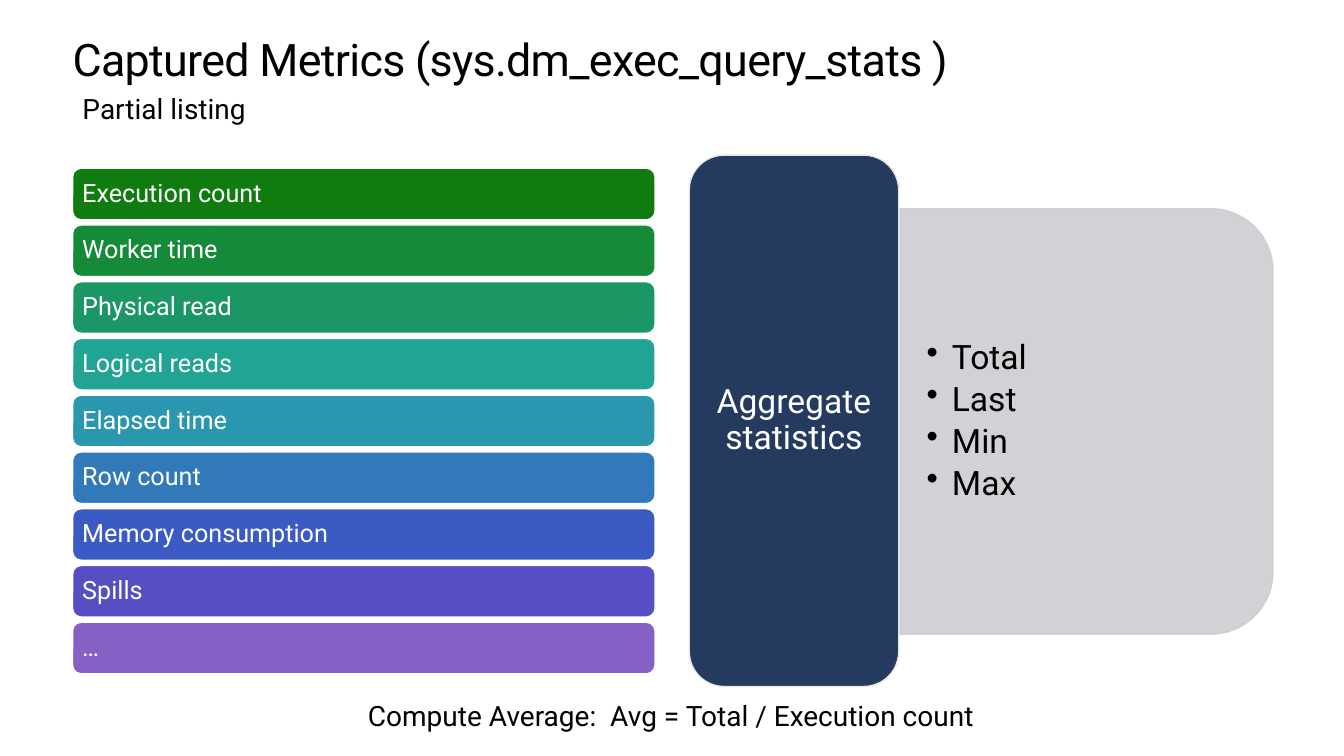
from lxml import etree
from pptx import Presentation
from pptx.dml.color import RGBColor
from pptx.enum.shapes import MSO_SHAPE
from pptx.enum.text import MSO_ANCHOR, PP_ALIGN
from pptx.oxml.ns import qn
from pptx.util import Cm, Pt

ROUND = MSO_SHAPE.ROUNDED_RECTANGLE
TAB = MSO_SHAPE.ROUND_2_SAME_RECTANGLE
TOP, MIDDLE = MSO_ANCHOR.TOP, MSO_ANCHOR.MIDDLE
LEFT, CENTER = PP_ALIGN.LEFT, PP_ALIGN.CENTER

BARS = [
    ("Execution count", "107C10"),
    ("Worker time", "158A38"),
    ("Physical read", "1B9765"),
    ("Logical reads", "22A495"),
    ("Elapsed time", "2A97AF"),
    ("Row count", "3279BA"),
    ("Memory consumption", "3B5AC4"),
    ("Spills", "574EC4"),
    ("…", "8661C5"),
]
STATS = ["Total", "Last", "Min", "Max"]
EDGE, WIDE = 1.83, 30.23
FIRST, STEP = 4.24, 1.43


def color(code):
    return RGBColor.from_string(code)


class Deck:
    font = "Roboto"
    dark = "000000"
    light = "FFFFFF"

    def __init__(self):
        self.file = Presentation()
        self.file.slide_width = Cm(33.87)
        self.file.slide_height = Cm(19.05)
        self.slide = self.file.slides.add_slide(self.file.slide_layouts[6])

    def fill_text(self, shape, text, size, ink, align=LEFT, anchor=TOP,
                  pad=(0, 0), line=None):
        frame = shape.text_frame
        frame.text = text
        frame.word_wrap = True
        frame.vertical_anchor = anchor
        frame.margin_left = frame.margin_right = Cm(pad[0])
        frame.margin_top = frame.margin_bottom = Cm(pad[1])
        for para in frame.paragraphs:
            para.alignment = align
            para.line_spacing = line
            for run in para.runs:
                run.font.name = self.font
                run.font.size = Pt(size)
                run.font.color.rgb = color(ink)

    def label(self, box, text, size, **style):
        shape = self.slide.shapes.add_textbox(*map(Cm, box))
        self.fill_text(shape, text, size, self.dark, **style)
        return shape

    def title(self, box, text):
        shape = self.label(box, text, 32, line=Pt(36.2))
        run = shape.text_frame.paragraphs[0].runs[0]
        run._r.get_or_add_rPr().set("spc", "-50")

    def block(self, kind, box, fill, edge):
        shape = self.slide.shapes.add_shape(kind, *map(Cm, box))
        shape.shadow.inherit = False
        shape.fill.solid()
        shape.fill.fore_color.rgb = color(fill)
        shape.line.color.rgb = color(edge)
        shape.line.width = Pt(1)
        return shape

    def card(self, box, text, size, fill, edge, align, pad):
        shape = self.block(ROUND, box, fill, edge)
        self.fill_text(shape, text, size, self.light, align, MIDDLE, pad, 0.9)

    def panel(self, box, fill):
        shape = self.block(TAB, box, fill, fill)
        shape.rotation = 90
        for tone in shape._element.spPr.iter(qn("a:srgbClr")):
            etree.SubElement(tone, qn("a:alpha")).set("val", "90000")

    def bullets(self, box, items, size):
        shape = self.label(box, "\n".join(items), size, anchor=MIDDLE,
                           pad=(0.69, 0.36), line=0.9)
        for para in shape.text_frame.paragraphs:
            para.space_after = Pt(4.2)
            props = para._p.get_or_add_pPr()
            props.set("marL", str(Cm(0.64)))
            props.set("indent", str(-Cm(0.64)))
            etree.SubElement(props, qn("a:buChar")).set("char", "•")


def main():
    deck = Deck()
    deck.title((EDGE, 0.89, WIDE, 1.27),
               "Captured Metrics (sys.dm_exec_query_stats )")
    deck.label((EDGE, 2.18, WIDE, 1.27), "Partial listing", 20,
               pad=(0.25, 0.13))
    for row, (name, fill) in enumerate(BARS):
        deck.card((EDGE, FIRST + row * STEP, 14.68, 1.3), name, 18, fill,
                  "FFFFFF", LEFT, (0.18, 0.18))
    deck.panel((22.02, 5.92, 10.72, 9.4), "CDCED2")
    deck.bullets((22.66, 5.72, 8.94, 9.8), STATS, 24)
    deck.card((17.37, 3.91, 5.28, 13.39), "Aggregate statistics", 24,
              "243A5E", "E6E6E6", CENTER, (0.25, 0.13))
    deck.label((9.19, 17.6, 15.44, 0.86),
               "Compute Average:  Avg = Total / Execution count", 20,
               align=CENTER)
    deck.file.save("out.pptx")


if __name__ == "__main__":
    main()
